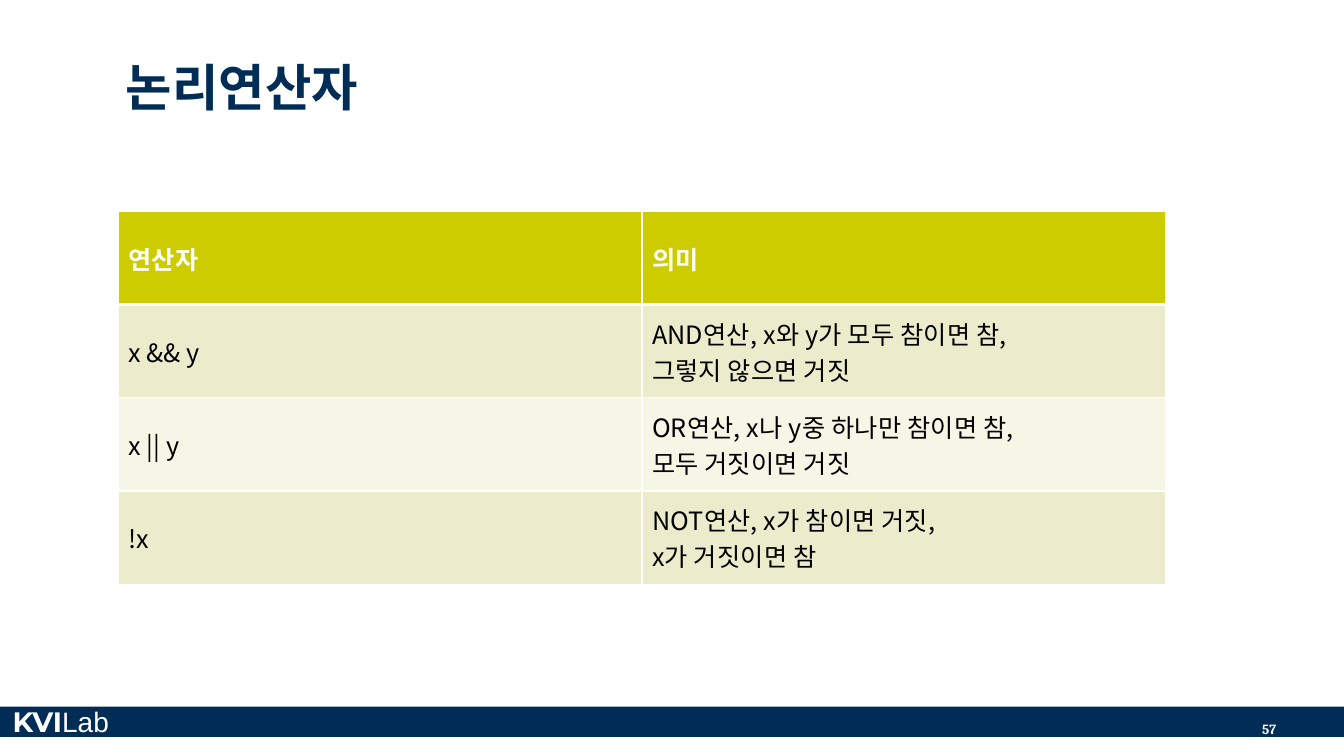
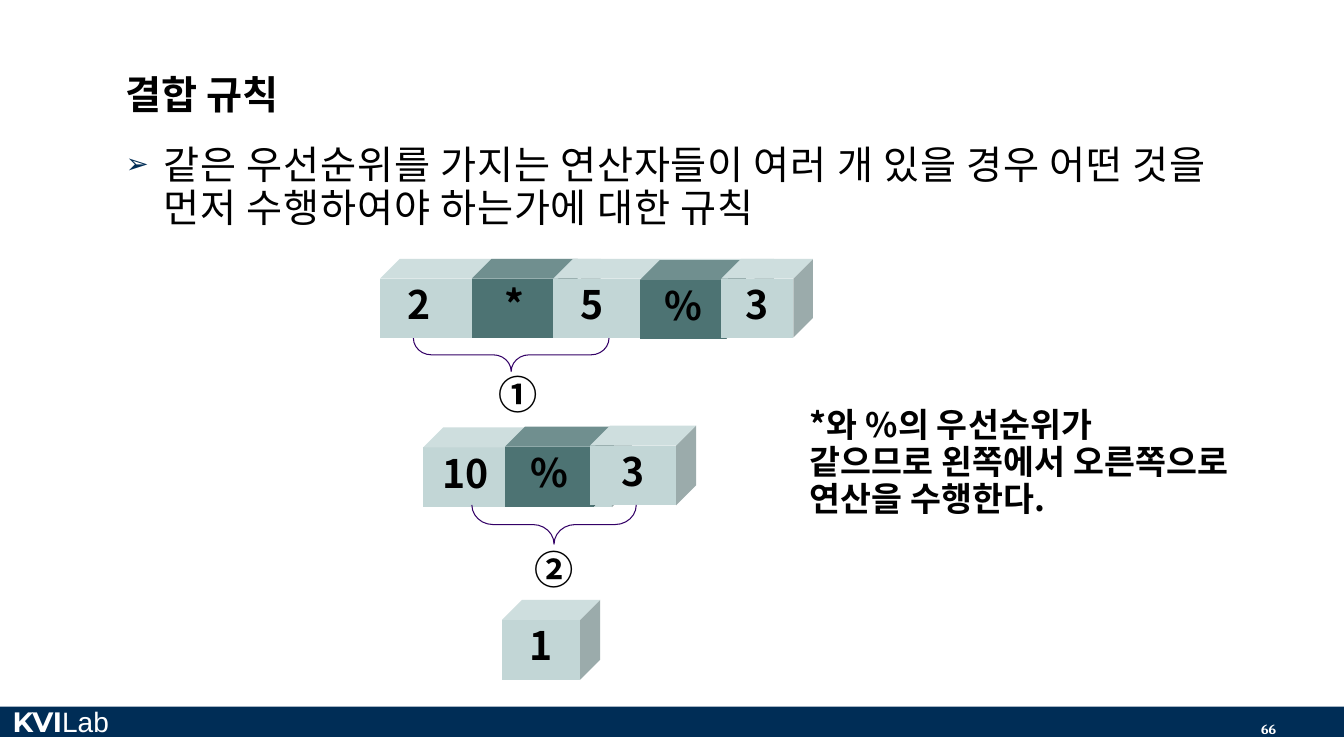
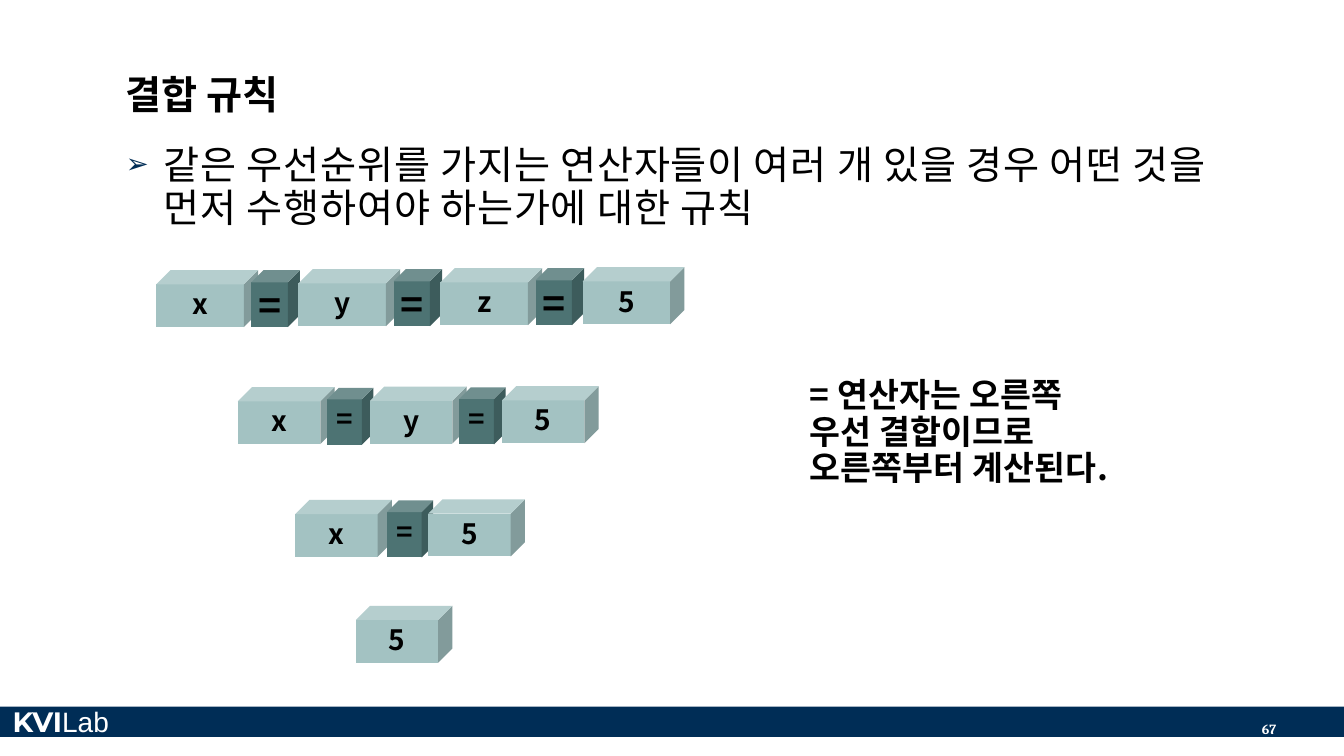
from dataclasses import dataclass
from typing import Optional

from lxml.etree import SubElement
from pptx import Presentation
from pptx.dml.color import RGBColor
from pptx.enum.shapes import MSO_SHAPE as Preset
from pptx.enum.text import MSO_ANCHOR as Anchor, MSO_AUTO_SIZE as AutoSize, PP_ALIGN as Align
from pptx.oxml.ns import qn
from pptx.util import Pt

COLORS = {
    "navy": "002D56", "white": "FFFFFF", "black": "000000", "header": "CCCC00",
    "odd": "ECECCC", "even": "F6F6E7", "pale": "C2D6D6", "light": "A3C2C2",
    "dark": "4D7373", "brace": "330066",
}
FONT = "Noto Sans CJK KR"
ONE_LINE, DENSE = 0.95, 0.91
TITLE_ONLY, TITLE_AND_BODY = 5, 1
RULE_TITLE = "결합 규칙"
RULE_BODY = "같은 우선순위를 가지는 연산자들이 여러 개 있을 경우 어떤 것을 먼저 수행하여야 하는가에 대한 규칙"


@dataclass(frozen=True)
class Box:
    left: float
    top: float
    width: float
    height: float

    def lengths(self) -> tuple:
        return Pt(self.left), Pt(self.top), Pt(self.width), Pt(self.height)


@dataclass(frozen=True)
class Cube:
    text: str
    box: Box
    color: str
    size: float = 28
    left_margin: Optional[float] = None
    anchor: Anchor = Anchor.TOP


@dataclass(frozen=True)
class Step:
    mark: str
    mark_left: float
    mark_top: float
    brace: Box


@dataclass(frozen=True)
class Assignment:
    operands: str
    left: float
    top: float
    pitch: float
    operand_width: float
    operator_offset: float
    operator_width: float
    operator_size: float = 20
    operator_anchor: Anchor = Anchor.TOP
    operator_drop: float = 0.5
    rise: float = 0.3


TITLE_BOX = Box(82.8, 9.4, 750, 77.8)
BODY_BOX = Box(82.8, 100, 829.4, 380)
OPERATOR_ROWS = (
    ("연산자", "의미"),
    ("x && y", "AND연산, x와 y가 모두 참이면 참,\n그렇지 않으면 거짓"),
    ("x || y", "OR연산, x나 y중 하나만 참이면 참,\n모두 거짓이면 거짓"),
    ("!x", "NOT연산, x가 참이면 거짓,\nx가 거짓이면 참"),
)
CUBES = (
    Cube("2", Box(271.5, 185, 157.5, 56.2), "pale", left_margin=19.5),
    Cube("*", Box(337, 185, 75.6, 56.2), "dark"),
    Cube("5", Box(395.3, 185, 157.5, 56.2), "pale", left_margin=19.5),
    Cube("%", Box(457.2, 185.8, 75.6, 56.2), "dark"),
    Cube("3", Box(515.2, 185, 65.5, 56.2), "pale"),
    Cube("10", Box(302.4, 305.3, 149, 57), "pale", left_margin=13.5),
    Cube("%", Box(360.7, 304.8, 77.8, 57), "dark"),
    Cube("3", Box(421.6, 304, 75.6, 57), "pale"),
    Cube("1", Box(358.6, 428.5, 70, 57), "pale"),
)
STEPS = (
    Step("①", 349.2, 263.5, Box(353.3, 183.6, 23.8, 139.7)),
    Step("②", 374.6, 388.8, Box(381.8, 316, 28, 117.4)),
)
ASSIGNMENTS = (
    Assignment("xyz5", 111.6, 193, 101.5, 72.7, 68, 34.6, 28, Anchor.MIDDLE, 0, 0.7),
    Assignment("xy5", 170, 276.5, 94.3, 69, 63.8, 33),
    Assignment("x5", 211, 357, 95, 69, 65.5, 33),
    Assignment("5", 254.2, 432.7, 0, 69, 0, 33),
)


def rgb(name: str) -> RGBColor:
    return RGBColor.from_string(COLORS[name])


def add_run(paragraph, text: str, size: float, color: str, bold: bool, font: str,
            tracking: float = 0) -> None:
    run = paragraph.add_run()
    run.text = text
    run.font.name = font
    run.font.size = Pt(size)
    run.font.bold = bold
    run.font.color.rgb = rgb(color)
    SubElement(run.font._element, qn("a:ea"), typeface=font)
    if tracking:
        run.font._element.set("spc", str(round(tracking * 100)))


def write_text(frame, text: str, *, size: float = 28, color: str = "black", bold: bool = True,
               font: str = FONT, align: Align = Align.LEFT, anchor: Anchor = Anchor.TOP,
               line_spacing: float = 1.0, space_before: float = 0, tracking: float = 0) -> None:
    frame.word_wrap = True
    frame.auto_size = AutoSize.NONE
    frame.vertical_anchor = anchor
    for index, line in enumerate(text.split("\n")):
        paragraph = frame.add_paragraph() if index else frame.paragraphs[0]
        paragraph.alignment = align
        paragraph.line_spacing = line_spacing
        paragraph.space_before = Pt(space_before)
        add_run(paragraph, line, size, color, bold, font, tracking)


def place(shape, box: Box) -> None:
    shape.left, shape.top, shape.width, shape.height = box.lengths()


def add_text(slide, box: Box, text: str, **text_format):
    shape = slide.shapes.add_textbox(*box.lengths())
    write_text(shape.text_frame, text, **text_format)
    return shape


def add_filled(slide, preset: Preset, box: Box, color: str):
    shape = slide.shapes.add_shape(preset, *box.lengths())
    shape.shadow.inherit = False
    shape.fill.solid()
    shape.fill.fore_color.rgb = rgb(color)
    shape.line.fill.background()
    return shape


def add_bullet(paragraph) -> None:
    properties = paragraph._p.get_or_add_pPr()
    properties.set("marL", str(Pt(27)))
    properties.set("indent", str(-Pt(27)))
    bullet_color = SubElement(properties, qn("a:buClr"))
    SubElement(bullet_color, qn("a:srgbClr"), val=COLORS["navy"])
    SubElement(properties, qn("a:buSzPct"), val="70000")
    SubElement(properties, qn("a:buChar"), char="➢")


def add_master_band(presentation, slide) -> None:
    band = add_filled(slide, Preset.RECTANGLE, Box(0, 504.8, 960, 21.6), "navy")
    label = add_text(slide, Box(2, 499.5, 109.4, 31.7), "KVI",
                     size=20, color="white", font="Montserrat")
    add_run(label.text_frame.paragraphs[0], "Lab", 20, "white", False, "Arial")
    master_shapes = presentation.slide_master.shapes
    for shape in (band, label):
        shape.element.nvSpPr.cNvPr.set("id", str(max(item.shape_id for item in master_shapes) + 1))
        master_shapes.element.append(shape.element)


def new_slide(presentation, number: int, title: str, body: str = "",
              title_size: float = 28, title_color: str = "black"):
    layout = presentation.slide_layouts[TITLE_AND_BODY if body else TITLE_ONLY]
    slide = presentation.slides.add_slide(layout)
    place(slide.shapes.title, TITLE_BOX)
    write_text(slide.shapes.title.text_frame, title, size=title_size, color=title_color,
               anchor=Anchor.BOTTOM)
    if body:
        placeholder = slide.placeholders[1]
        place(placeholder, BODY_BOX)
        write_text(placeholder.text_frame, body, bold=False, line_spacing=DENSE,
                   space_before=2, tracking=0.6)
        placeholder.text_frame.margin_right = Pt(30)
        add_bullet(placeholder.text_frame.paragraphs[0])
    add_text(slide, Box(868.3, 511.2, 50.4, 20.2), str(number),
             size=10, color="white", font="Cambria", align=Align.RIGHT)
    return slide


def set_borders(cell, bottom: float) -> None:
    properties = cell._tc.get_or_add_tcPr()
    widths = (("a:lnL", 1), ("a:lnR", 1), ("a:lnT", 1), ("a:lnB", bottom))
    for position, (tag, width) in enumerate(widths):
        line = SubElement(properties, qn(tag), w=str(Pt(width)))
        fill = SubElement(line, qn("a:solidFill"))
        SubElement(fill, qn("a:srgbClr"), val=COLORS["white"])
        properties.insert(position, line)


def add_operator_table(slide) -> None:
    box = Box(84.7, 151, 747.8, 266.4)
    row_count, column_count = len(OPERATOR_ROWS), len(OPERATOR_ROWS[0])
    table = slide.shapes.add_table(row_count, column_count, *box.lengths()).table
    table.horz_banding = False
    for column in table.columns:
        column.width = Pt(box.width / column_count)
    for row_index, texts in enumerate(OPERATOR_ROWS):
        table.rows[row_index].height = Pt(box.height / row_count)
        is_header = row_index == 0
        fill = "header" if is_header else "odd" if row_index % 2 else "even"
        for column_index, text in enumerate(texts):
            cell = table.cell(row_index, column_index)
            cell.fill.solid()
            cell.fill.fore_color.rgb = rgb(fill)
            write_text(cell.text_frame, text, size=18, bold=is_header,
                       color="white" if is_header else "black",
                       tracking=0.15 if column_index and not is_header else 0)
            cell.vertical_anchor = Anchor.MIDDLE
            set_borders(cell, bottom=3 if is_header else 1)


def add_cube(slide, cube: Cube) -> None:
    shape = add_filled(slide, Preset.CUBE, cube.box, cube.color)
    frame = shape.text_frame
    centered = cube.left_margin is None
    frame.margin_left = Pt(0 if centered else cube.left_margin)
    frame.margin_right = frame.margin_bottom = Pt(0)
    write_text(frame, cube.text, size=cube.size, anchor=cube.anchor, line_spacing=ONE_LINE,
               align=Align.CENTER if centered else Align.LEFT)


def add_step(slide, step: Step) -> None:
    add_text(slide, Box(step.mark_left, step.mark_top, 43, 44), step.mark, line_spacing=ONE_LINE)
    brace = slide.shapes.add_shape(Preset.LEFT_BRACE, *step.brace.lengths())
    brace.shadow.inherit = False
    brace.rotation = 270
    brace.adjustments[0] = 0.54
    brace.fill.background()
    brace.line.color.rgb = rgb("brace")
    brace.line.width = Pt(0.75)


def add_assignment(slide, row: Assignment) -> None:
    height = 40.7
    for index, operand in enumerate(row.operands):
        left = row.left + index * row.pitch
        top = row.top - index * row.rise
        add_cube(slide, Cube(operand, Box(left, top, row.operand_width, height), "light", 20))
        if index < len(row.operands) - 1:
            operator_box = Box(left + row.operator_offset, top + row.operator_drop,
                               row.operator_width, height)
            add_cube(slide, Cube("=", operator_box, "dark", row.operator_size,
                                 anchor=row.operator_anchor))


def add_note(slide, top: float, text: str) -> None:
    add_text(slide, Box(571, top, 354.2, 94.3), text, size=24, line_spacing=DENSE,
             tracking=0.15)


def main() -> None:
    presentation = Presentation()
    presentation.slide_width, presentation.slide_height = Pt(960), Pt(540)

    logic_slide = new_slide(presentation, 57, "논리연산자", title_size=36, title_color="navy")
    add_master_band(presentation, logic_slide)
    add_operator_table(logic_slide)

    left_slide = new_slide(presentation, 66, RULE_TITLE, RULE_BODY)
    for cube in CUBES:
        add_cube(left_slide, cube)
    for step in STEPS:
        add_step(left_slide, step)
    add_note(left_slide, 288.2, "*와 %의 우선순위가\n같으므로 왼쪽에서 오른쪽으로 연산을 수행한다.")

    right_slide = new_slide(presentation, 67, RULE_TITLE, RULE_BODY)
    add_note(right_slide, 266.6, "= 연산자는 오른쪽\n우선 결합이므로\n오른쪽부터 계산된다.")
    for row in ASSIGNMENTS:
        add_assignment(right_slide, row)

    presentation.save("out.pptx")


if __name__ == "__main__":
    main()
